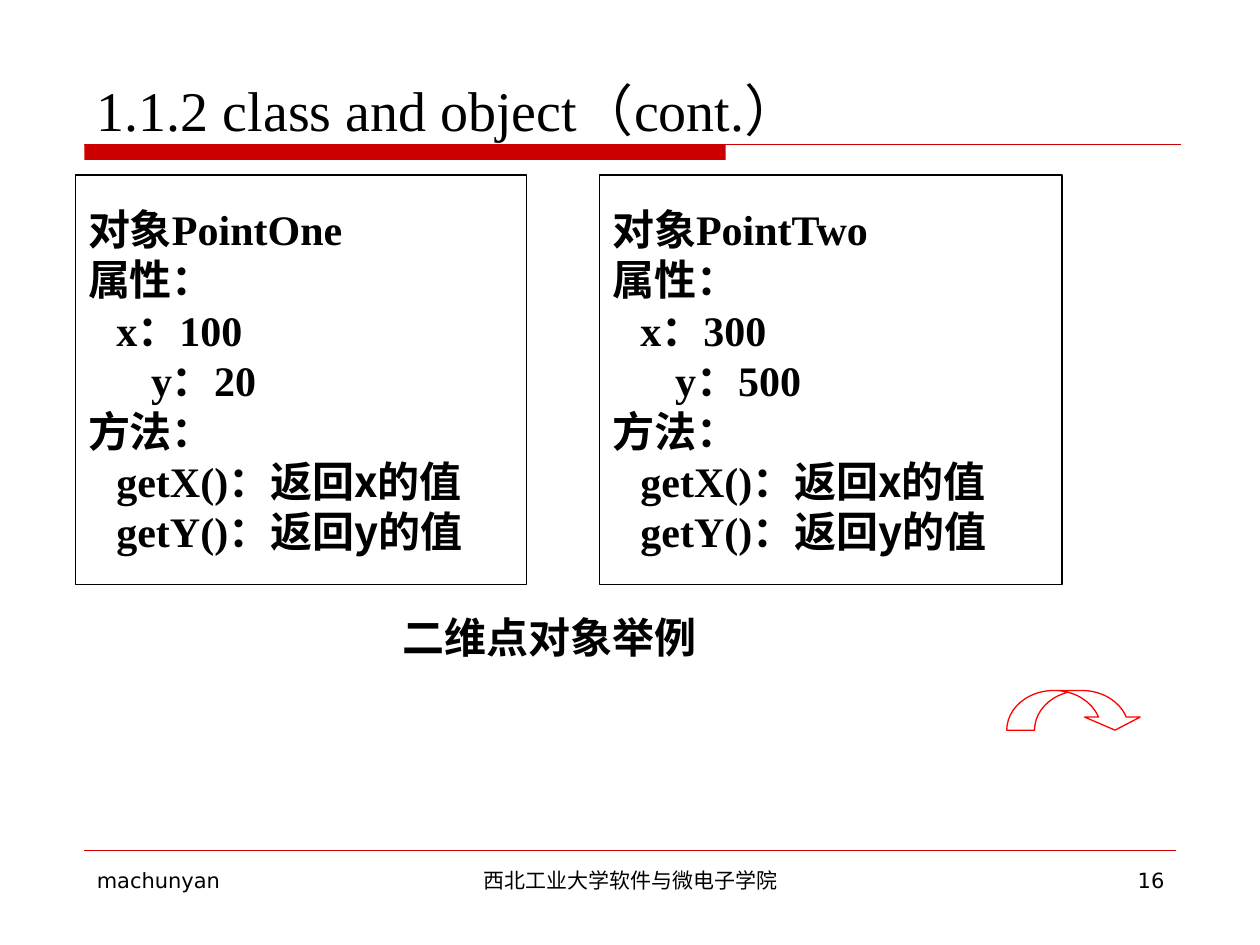
import pptx
import pptx.util
import pptx.dml.color
import pptx.enum.shapes
import pptx.enum.text
import pptx.oxml.ns
from lxml import etree

WIDE, HIGH = pptx.util.Inches(10), pptx.util.Inches(7.5)
KIND = pptx.enum.shapes.MSO_SHAPE
ALIGN = pptx.enum.text.PP_ALIGN
ANCHOR = pptx.enum.text.MSO_ANCHOR
QN = pptx.oxml.ns.qn
HAN, ROMAN, SANS = "Noto Sans CJK SC", "Times New Roman", "DejaVu Sans"
RED, BLACK = "CC0000", "000000"


def shade(code):
    return pptx.dml.color.RGBColor.from_string(code)


def across(share):
    return int(WIDE * share / 100)


def down(share):
    return int(HIGH * share / 100)


def place(x, y, w, h):
    return across(x), down(y), across(w), down(h)


def write(frame, lines, size=24, bold=False, align=ALIGN.LEFT, anchor=ANCHOR.TOP):
    frame.word_wrap = True
    frame.vertical_anchor = anchor
    for i, (inset, runs) in enumerate(lines):
        para = frame.paragraphs[0] if i == 0 else frame.add_paragraph()
        para.alignment = align
        if inset:
            para._p.get_or_add_pPr().set("marL", str(across(inset)))
        for text, face in runs:
            run = para.add_run()
            run.text = text
            font = run.font
            font.size, font.bold, font.name = pptx.util.Pt(size), bold, face
            font.color.rgb = shade(BLACK)
            east = etree.SubElement(run._r.get_or_add_rPr(), QN("a:ea"))
            east.set("typeface", HAN)


def label(slide, spot, text, face, **style):
    box = slide.shapes.add_textbox(*place(*spot))
    write(box.text_frame, [(0, [(text, face)])], **style)


def shape(slide, kind, spot, fill=None, line=None):
    form = slide.shapes.add_shape(kind, *place(*spot))
    form.shadow.inherit = False
    if fill:
        form.fill.solid()
        form.fill.fore_color.rgb = shade(fill)
    else:
        form.fill.background()
    if line:
        form.line.color.rgb = shade(line)
        form.line.width = pptx.util.Pt(0.75)
    else:
        form.line.fill.background()
    return form


def rule(slide, left, right, y, width):
    line = slide.shapes.add_connector(
        pptx.enum.shapes.MSO_CONNECTOR.STRAIGHT,
        across(left), down(y), across(right), down(y))
    line.line.color.rgb = shade(RED)
    line.line.width = pptx.util.Pt(width)
    etree.SubElement(line._element.spPr, QN("a:effectLst"))


def card(slide, left, width, name, x, y):
    box = shape(slide, KIND.RECTANGLE, (left, 18.53, width, 43.33), line=BLACK)
    lines = [
        (0, [("对象", HAN), (name, ROMAN)]),
        (0, [("属性：", HAN)]),
        (2.25, [(f"x：{x}", ROMAN)]),
        (5, [(f"y：{y}", ROMAN)]),
        (0, [("方法：", HAN)]),
    ]
    for axis in "xy":
        lines.append((2.25, [(f"get{axis.upper()}()：", ROMAN), (f"返回{axis}的值", HAN)]))
    write(box.text_frame, lines, bold=True, anchor=ANCHOR.MIDDLE)


def main():
    deck = pptx.Presentation()
    deck.slide_width, deck.slide_height = WIDE, HIGH
    slide = deck.slides.add_slide(deck.slide_layouts[6])

    shape(slide, KIND.RECTANGLE, (6.7, 15.33, 50.9, 1.6), fill=RED)
    rule(slide, 6.7, 93.7, 15.33, 0.75)
    rule(slide, 6.7, 93.3, 90, 0.25)

    feet = [
        (6.7, 21.7, "machunyan", ALIGN.LEFT),
        (34.2, 31.7, "西北工业大学软件与微电子学院", ALIGN.CENTER),
        (71.7, 21.7, "16", ALIGN.RIGHT),
    ]
    for left, width, text, align in feet:
        label(slide, (left, 91.1, width, 6.9), text, SANS, size=12, align=align)

    card(slide, 6, 35.8, "PointOne", 100, 20)
    card(slide, 47.6, 36.7, "PointTwo", 300, 500)
    label(slide, (31, 64, 30, 6.67), "二维点对象举例", HAN, bold=True)

    arrow = shape(slide, KIND.CURVED_DOWN_ARROW, (79.9, 73.07, 10.8, 4.2), line="FF0000")
    for i, ratio in enumerate((0.7, 1.4, 0.33)):
        arrow.adjustments[i] = ratio

    label(slide, (6.7, 3.73, 87.5, 12), "1.1.2 class and object（cont.）", ROMAN,
          size=32, anchor=ANCHOR.BOTTOM)
    deck.save("out.pptx")


if __name__ == "__main__":
    main()
